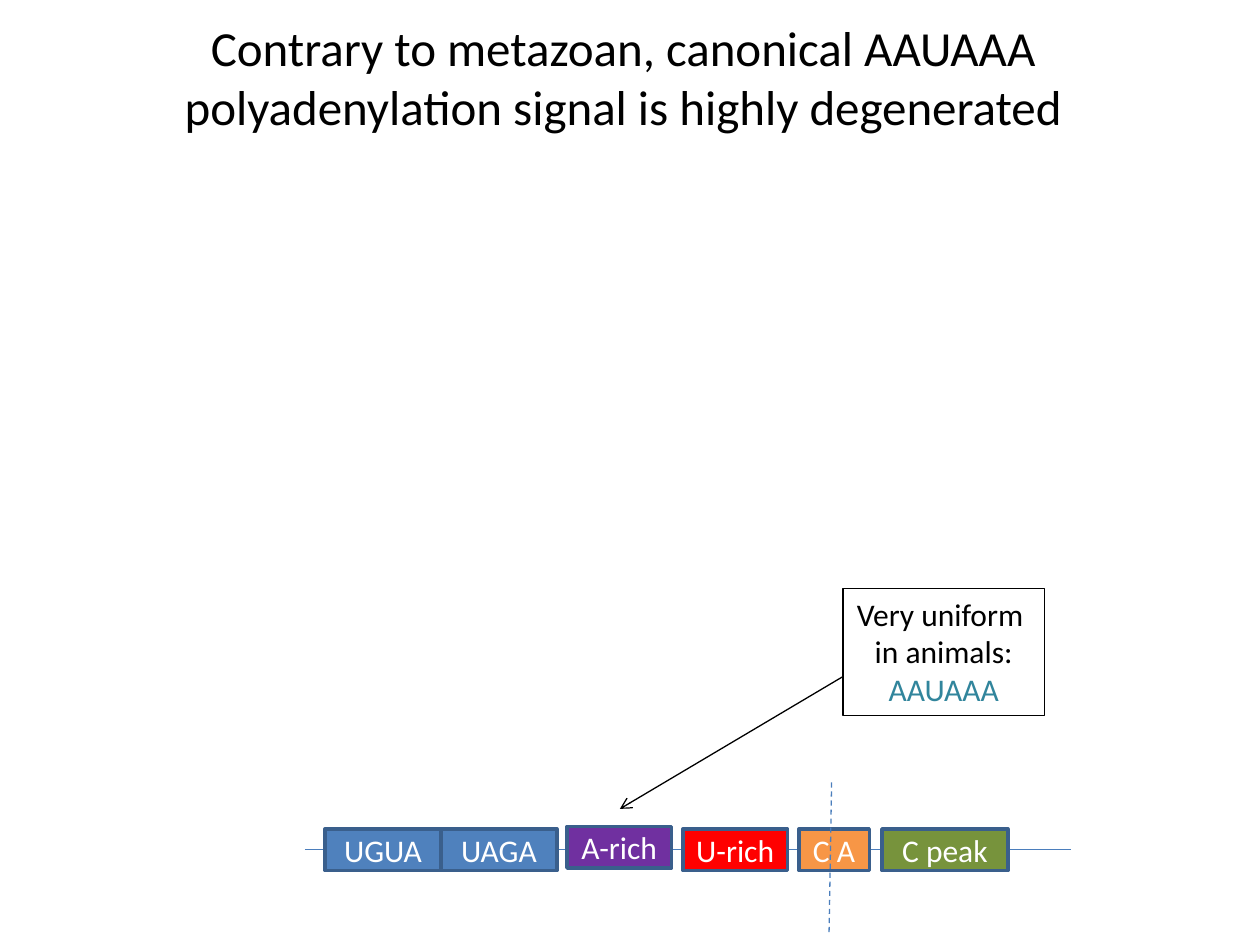
from lxml import etree
from pptx import Presentation
from pptx.dml.color import RGBColor
from pptx.enum.dml import MSO_LINE
from pptx.enum.shapes import MSO_CONNECTOR, MSO_SHAPE
from pptx.enum.text import MSO_ANCHOR, PP_ALIGN
from pptx.oxml.ns import qn
from pptx.util import Inches, Pt

STRAIGHT = MSO_CONNECTOR.STRAIGHT
RECTANGLE = MSO_SHAPE.RECTANGLE
CENTER = PP_ALIGN.CENTER
MIDDLE = MSO_ANCHOR.MIDDLE
DASH = MSO_LINE.DASH

FONT = "Calibri"
BLACK = RGBColor(0x00, 0x00, 0x00)
WHITE = RGBColor(0xFF, 0xFF, 0xFF)
TEAL = RGBColor(0x31, 0x85, 0x9C)
BLUE = RGBColor(0x4F, 0x81, 0xBD)
PURPLE = RGBColor(0x70, 0x30, 0xA0)
RED = RGBColor(0xFF, 0x00, 0x00)
ORANGE = RGBColor(0xF7, 0x96, 0x46)
GREEN = RGBColor(0x77, 0x93, 0x3C)
BORDER = RGBColor(0x3A, 0x5F, 0x8C)
STRAND = RGBColor(0x4B, 0x7E, 0xBC)

# Label, left offset, top offset, width (inches within the motif row), fill
MOTIFS = [
    ("U-rich", 3.0, 0.02, 0.83, RED),
    ("A-rich", 2.08, 0, 0.83, PURPLE),
    ("UAGA", 1.08, 0.02, 0.92, BLUE),
    ("C peak", 4.58, 0.02, 1.0, GREEN),
    ("C A", 3.92, 0.02, 0.56, ORANGE),
    ("UGUA", 0.16, 0.02, 0.92, BLUE),
]
MOTIF_HEIGHT = 0.33


def style_paragraph(para, text, size, color):
    para.text = text
    para.alignment = CENTER
    para.font.name = FONT
    para.font.size = Pt(size)
    para.font.color.rgb = color


def add_line(page, start, end, color):
    line = page.shapes.add_connector(
        STRAIGHT, *(Inches(value) for value in (*start, *end)))
    line.line.color.rgb = color
    line.line.width = Pt(0.75)
    etree.SubElement(line._element.spPr, qn("a:effectLst"))
    return line


def add_title(page, left, top, width, height):
    box = page.shapes.add_textbox(
        Inches(left), Inches(top), Inches(width), Inches(height))
    box.text_frame.word_wrap = True
    style_paragraph(
        box.text_frame.paragraphs[0],
        "Contrary to metazoan, canonical AAUAAA polyadenylation signal "
        "is highly degenerated", 28, BLACK)


def add_callout(page, left, top, width, height, target):
    # Arrow from the callout's left edge to the A-rich motif
    arrow = add_line(page, (left, top + 0.7), target, BLACK)
    etree.SubElement(arrow.line._get_or_add_ln(), qn("a:tailEnd"), type="arrow")

    # Framed note
    box = page.shapes.add_textbox(
        Inches(left), Inches(top), Inches(width), Inches(height))
    box.line.color.rgb = BLACK
    box.line.width = Pt(0.75)
    frame = box.text_frame
    frame.word_wrap = False
    lines = [("Very uniform ", BLACK), ("in animals:", BLACK), ("AAUAAA", TEAL)]
    for index, (text, color) in enumerate(lines):
        para = frame.add_paragraph() if index else frame.paragraphs[0]
        style_paragraph(para, text, 18, color)


def add_motif_row(page, left, top, width):
    # RNA strand behind the motifs
    strand_y = top + 0.18
    add_line(page, (left, strand_y), (left + width, strand_y), STRAND)

    # Motif boxes
    for label, dx, dy, box_width, fill in MOTIFS:
        box = page.shapes.add_shape(
            RECTANGLE, Inches(left + dx), Inches(top + dy),
            Inches(box_width), Inches(MOTIF_HEIGHT))
        box.shadow.inherit = False
        box.fill.solid()
        box.fill.fore_color.rgb = fill
        box.line.color.rgb = BORDER
        box.line.width = Pt(2)
        box.text_frame.vertical_anchor = MIDDLE
        style_paragraph(box.text_frame.paragraphs[0], label, 18, WHITE)

    # Cleavage site
    site = add_line(page, (left + 4.18, top - 0.35),
                    (left + 4.16, top + 0.84), STRAND)
    site.line.dash_style = DASH


def main():
    deck = Presentation()
    deck.slide_width = Inches(10)
    deck.slide_height = Inches(7.5)
    page = deck.slides.add_slide(deck.slide_layouts[6])
    add_title(page, 0.3, 0.09, 9.29, 1.04)
    add_callout(page, 6.69, 4.67, 1.6, 1.01, target=(4.92, 6.42))
    add_motif_row(page, 2.42, 6.56, 6.08)
    deck.save("out.pptx")


if __name__ == "__main__":
    main()
